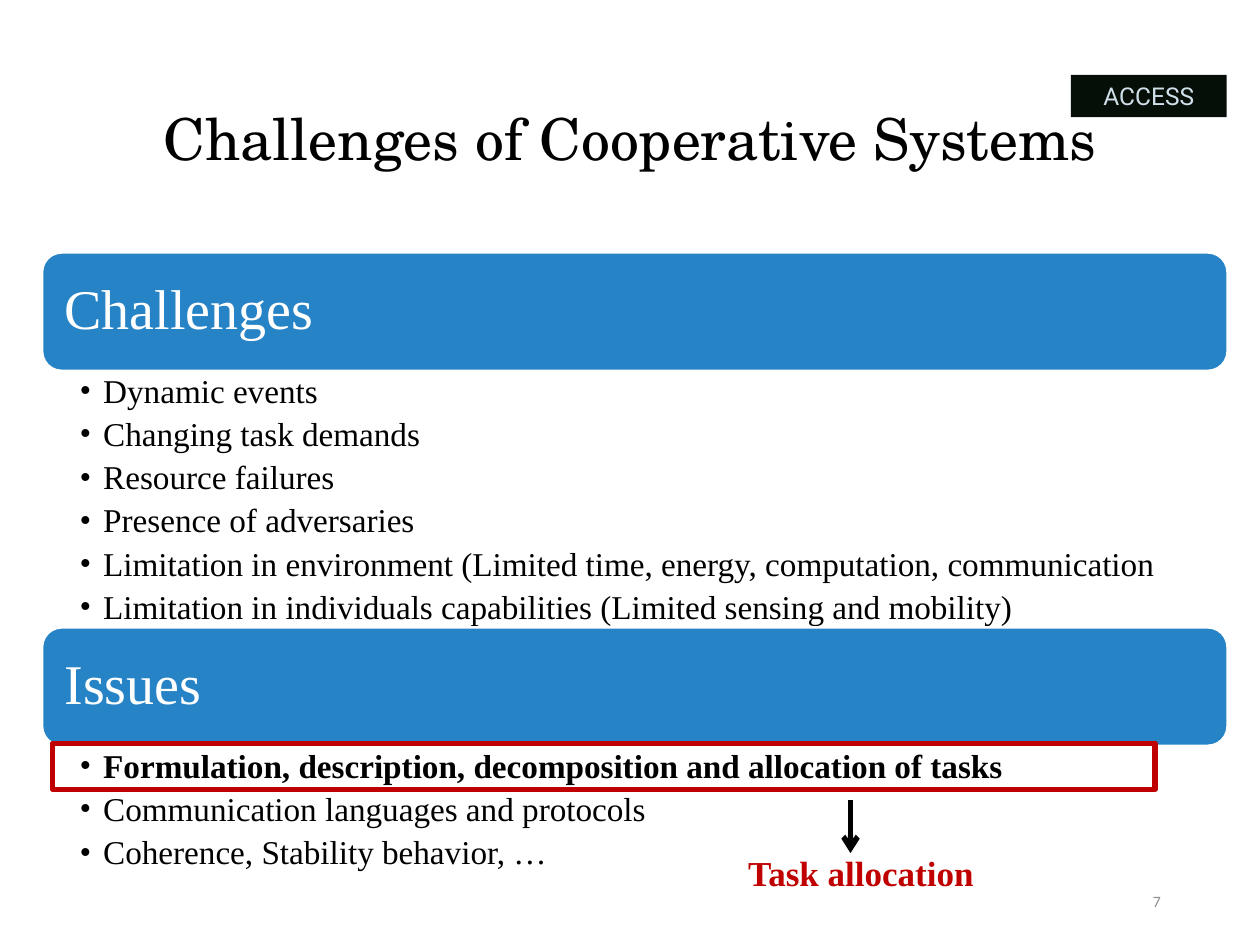
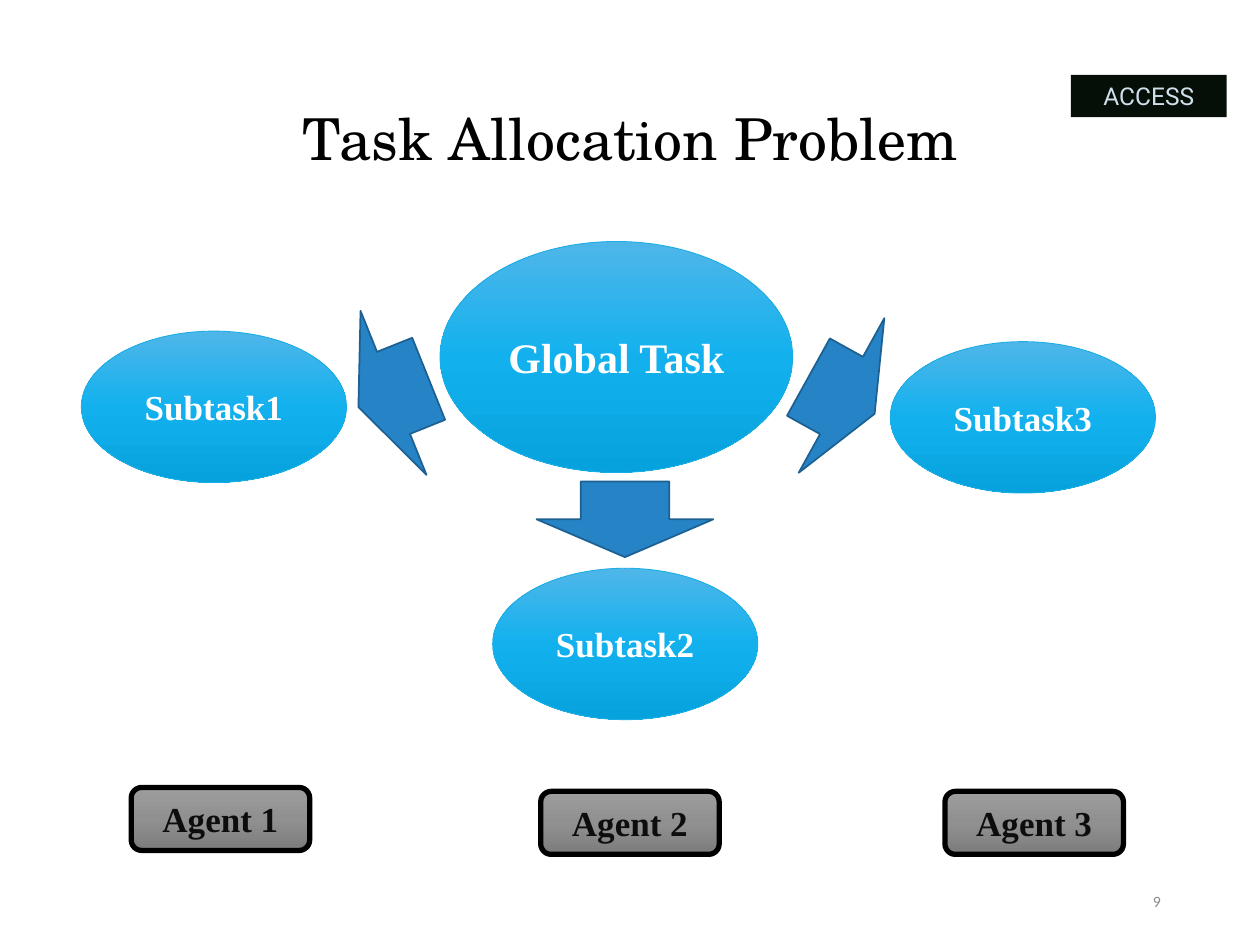
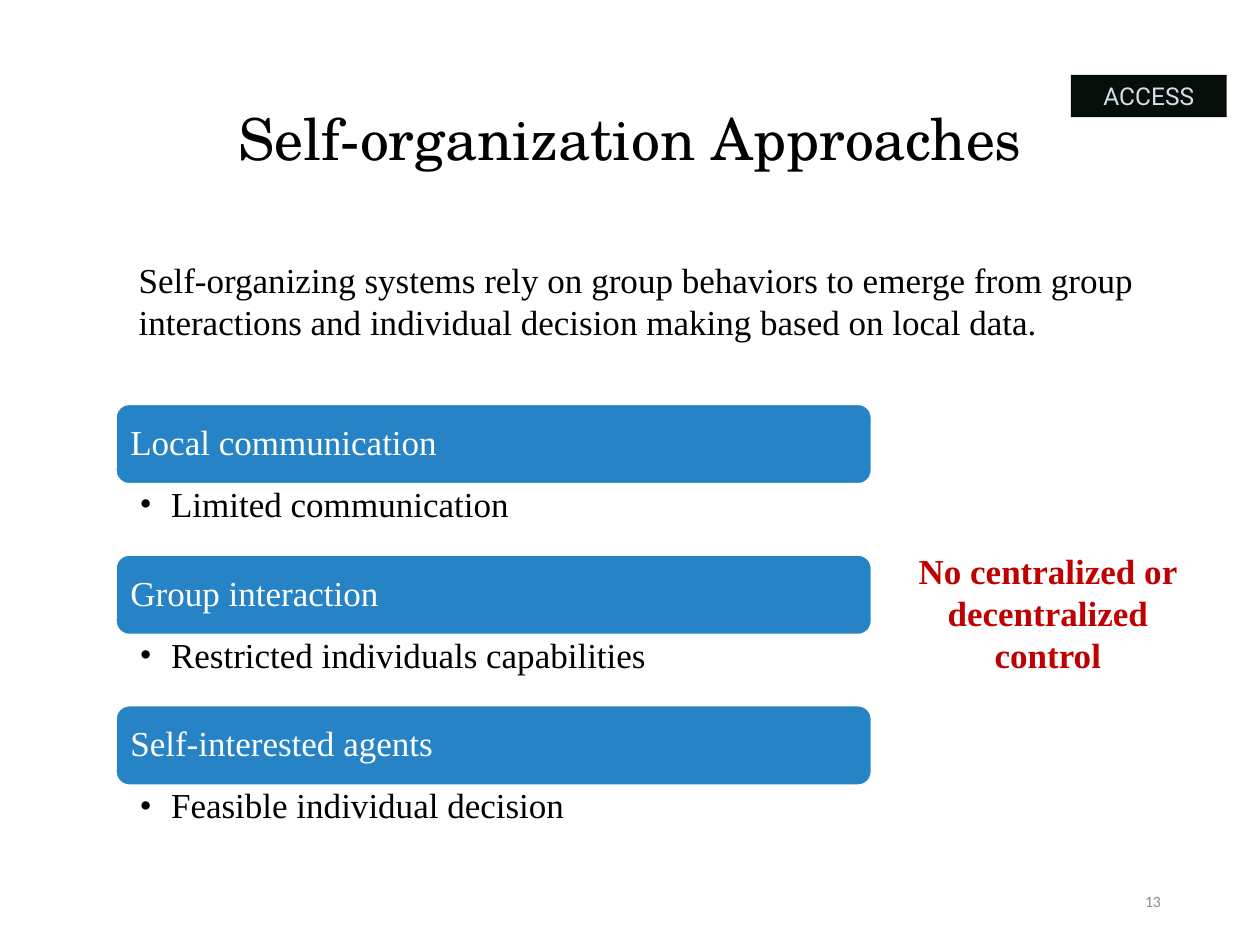
from copy import deepcopy

from lxml import etree
from pptx import Presentation
from pptx.dml.color import RGBColor
from pptx.enum.shapes import MSO_CONNECTOR, MSO_SHAPE
from pptx.enum.text import MSO_ANCHOR, MSO_AUTO_SIZE, PP_ALIGN
from pptx.oxml.ns import qn
from pptx.util import Pt

BLACK = RGBColor(0, 0, 0)
WHITE = RGBColor(255, 255, 255)
RED = RGBColor(0xC0, 0, 0)
BLUE = RGBColor(0x26, 0x83, 0xC6)
DARK_BLUE = RGBColor(0x1C, 0x61, 0x92)
SKY = RGBColor(0x1C, 0xAD, 0xE4)
TAG_FILL = RGBColor(0x06, 0x0E, 0x08)
TAG_TEXT = RGBColor(0xCF, 0xE0, 0xEA)
NUMBER_GRAY = RGBColor(0x8C, 0x8C, 0x8C)
AGENT_TEXT = RGBColor(0x0D, 0x0D, 0x0D)
SKY_GRADIENT = (RGBColor(0x4F, 0xB6, 0xE9), RGBColor(0x12, 0xB1, 0xEE), RGBColor(0x06, 0xA2, 0xDD))
GRAY_GRADIENT = (RGBColor(0x9D, 0x9D, 0x9D), RGBColor(0x90, 0x90, 0x90), RGBColor(0x7C, 0x7C, 0x7C))

TITLE_FONT = "TeX Gyre Schola"
BODY_FONT = "Times New Roman"
NUMBER_FONT = "Calibri"
TAG_FONT = "Roboto"

RECTANGLE = MSO_SHAPE.RECTANGLE
ROUNDED = MSO_SHAPE.ROUNDED_RECTANGLE
ELLIPSE = MSO_SHAPE.OVAL
RIGHT_ARROW = MSO_SHAPE.RIGHT_ARROW
STRAIGHT = MSO_CONNECTOR.STRAIGHT
LEFT, CENTER, RIGHT = PP_ALIGN.LEFT, PP_ALIGN.CENTER, PP_ALIGN.RIGHT
TOP, MIDDLE = MSO_ANCHOR.TOP, MSO_ANCHOR.MIDDLE
NO_AUTOFIT = MSO_AUTO_SIZE.NONE

TITLE_ONLY = 5
DEFAULT_INSETS = (7.2, 3.6, 7.2, 3.6)


def add_bullet(para, indent):
    properties = para._p.get_or_add_pPr()
    properties.set("marL", str(Pt(indent)))
    properties.set("indent", str(-Pt(indent)))
    etree.SubElement(properties, qn("a:buFont")).set("typeface", BODY_FONT)
    etree.SubElement(properties, qn("a:buChar")).set("char", "•")


def write_text(box, *lines, size=20, font=BODY_FONT, color=BLACK, bold=False, align=CENTER,
               anchor=MIDDLE, insets=DEFAULT_INSETS, spacing=1.0, after=0, bullet=None, bold_lines=()):
    frame = box.text_frame
    frame.word_wrap = True
    frame.auto_size = NO_AUTOFIT
    frame.vertical_anchor = anchor
    frame.margin_left, frame.margin_top, frame.margin_right, frame.margin_bottom = map(Pt, insets)
    for index, line in enumerate(lines):
        para = frame.add_paragraph() if index else frame.paragraphs[0]
        para.alignment = align
        para.line_spacing = spacing
        para.space_before = Pt(0)
        para.space_after = Pt(after)
        if bullet:
            add_bullet(para, bullet)
        span = para.add_run()
        span.text = line
        span.font.size = Pt(size)
        span.font.name = font
        span.font.color.rgb = color
        span.font.bold = bold or line in bold_lines


def add_label(page, left, top, width, height, *lines, **text_format):
    box = page.shapes.add_textbox(Pt(left), Pt(top), Pt(width), Pt(height))
    write_text(box, *lines, **text_format)


def fill_gradient(shape, colors):
    shape.fill.gradient()
    shape.fill.gradient_angle = 270
    stops = shape._element.spPr.find(qn("a:gradFill")).find(qn("a:gsLst"))
    stops.append(deepcopy(stops[-1]))
    for index, (stop, color) in enumerate(zip(shape.fill.gradient_stops, colors)):
        stop.position = index / (len(colors) - 1)
        stop.color.rgb = color


def add_figure(page, kind, left, top, width, height, fill=None, gradient=None,
               line=None, line_width=1, rotation=0):
    shape = page.shapes.add_shape(kind, Pt(left), Pt(top), Pt(width), Pt(height))
    shape.shadow.inherit = False
    shape.rotation = rotation
    if gradient:
        fill_gradient(shape, gradient)
    elif fill is not None:
        shape.fill.solid()
        shape.fill.fore_color.rgb = fill
    else:
        shape.fill.background()
    if line is not None:
        shape.line.color.rgb = line
        shape.line.width = Pt(line_width)
    else:
        shape.line.fill.background()
    return shape


def add_arrow_line(page, start, end, width):
    arrow = page.shapes.add_connector(STRAIGHT, *map(Pt, start + end))
    arrow.line.color.rgb = BLACK
    arrow.line.width = Pt(width)
    etree.SubElement(arrow.line._get_or_add_ln(), qn("a:tailEnd")).set("type", "arrow")
    etree.SubElement(arrow._element.spPr, qn("a:effectLst"))


def add_page(deck, title, number):
    page = deck.slides.add_slide(deck.slide_layouts[TITLE_ONLY])
    heading = page.shapes.title
    heading.left, heading.top, heading.width, heading.height = Pt(49.5), Pt(28.75), Pt(621), Pt(104.4)
    write_text(heading, title, size=33, font=TITLE_FONT, spacing=0.9)
    add_label(page, 508.5, 500.5, 162, 28.75, str(number), size=9, font=NUMBER_FONT,
              color=NUMBER_GRAY, align=RIGHT)
    tag = add_figure(page, RECTANGLE, 612, 42.75, 89, 24.25, fill=TAG_FILL)
    write_text(tag, "ACCESS", size=14, font=TAG_FONT, color=TAG_TEXT)
    return page


def add_section(page, left, top, width, band_height, list_height, heading, items, heading_size,
                heading_inset, item_size, item_insets, bullet, line_width, bold_lines=()):
    band = add_figure(page, ROUNDED, left, top, width, band_height, fill=BLUE,
                      line=WHITE, line_width=line_width)
    write_text(band, heading, size=heading_size, color=WHITE, align=LEFT,
               insets=(heading_inset,) * 4, spacing=0.9)
    add_label(page, left, top + band_height, width, list_height, *items, size=item_size,
              align=LEFT, anchor=TOP, insets=item_insets, spacing=0.9, after=4.2,
              bullet=bullet, bold_lines=bold_lines)


def add_task(page, left, top, name, width=151.5, height=86.5, size=20):
    task = add_figure(page, ELLIPSE, left, top, width, height, gradient=SKY_GRADIENT,
                      line=SKY, line_width=0.5)
    write_text(task, name, size=size, color=WHITE, bold=True)


def add_agent(page, left, top, name):
    agent = add_figure(page, ROUNDED, left, top, 102, 36, gradient=GRAY_GRADIENT,
                       line=BLACK, line_width=3)
    write_text(agent, name, color=AGENT_TEXT, bold=True)


def build_challenges(deck):
    page = add_page(deck, "Challenges of Cooperative Systems", 7)
    key_issue = "Formulation, description, decomposition and allocation of tasks"
    sections = (
        ("Challenges", 146.5, (
            "Dynamic events",
            "Changing task demands",
            "Resource failures",
            "Presence of adversaries",
            "Limitation in environment (Limited time, energy, computation, communication",
            "Limitation in individuals capabilities (Limited sensing and mobility)")),
        ("Issues", 73.5, (
            key_issue,
            "Communication languages and protocols",
            "Coherence, Stability behavior, …")),
    )
    top, band_height = 144.25, 67.75
    for heading, list_height, items in sections:
        add_section(page, 24, top, 677.5, band_height, list_height, heading, items,
                    heading_size=32, heading_inset=9.5, item_size=19,
                    item_insets=(21.5, 2, 10.75, 2), bullet=13.5, line_width=1.5,
                    bold_lines=(key_issue,))
        top += band_height + list_height
    add_arrow_line(page, (486, 457), (486, 487.5), 3)
    add_label(page, 372, 483.25, 240, 31.5, "Task allocation", color=RED, bold=True, anchor=TOP)
    add_figure(page, RECTANGLE, 30, 424.75, 630, 26.25, line=RED, line_width=3)


def build_allocation(deck):
    page = add_page(deck, "Task Allocation Problem", 9)
    for number, (left, top) in enumerate(((75, 450), (309, 452.25), (540, 452.25)), 1):
        add_agent(page, left, top, f"Agent {number}")
    add_task(page, 251.5, 138, "Global Task", width=201.5, height=132, size=24)
    for left, top, rotation in ((459.25, 175.5, 29), (203.25, 174, 158.1), (335.5, 246.25, 90)):
        add_figure(page, RIGHT_ARROW, left, top, 43.25, 101, fill=BLUE, line=DARK_BLUE,
                   rotation=rotation)
    for number, (left, top) in enumerate(((46.5, 189.25), (281.5, 324.75), (508.75, 195.25)), 1):
        add_task(page, left, top, f"Subtask{number}")


def build_approaches(deck):
    page = add_page(deck, "Self-organization Approaches", 13)
    sections = (
        ("Local communication", "Limited communication"),
        ("Group interaction", "Restricted individuals capabilities"),
        ("Self-interested agents", "Feasible individual decision"),
    )
    band_height, list_height = 45.5, 40.6
    for index, (heading, item) in enumerate(sections):
        top = 231 + index * (band_height + list_height)
        add_section(page, 66.25, top, 431.75, band_height, list_height, heading, (item,),
                    heading_size=20, heading_inset=6, item_size=20,
                    item_insets=(13.5, 2, 11.5, 2), bullet=18, line_width=1)
    add_label(page, 504, 310.5, 189.5, 80, "No centralized or decentralized control",
              color=RED, bold=True, anchor=TOP)
    add_label(page, 36, 144.25, 648, 308,
              "Self-organizing systems rely on group behaviors to emerge from group "
              "interactions and individual decision making based on local data.",
              align=LEFT, anchor=TOP, insets=(43.2, 3.6, 7.2, 3.6))


def main():
    deck = Presentation()
    deck.slide_width, deck.slide_height = Pt(720), Pt(540)
    build_challenges(deck)
    build_allocation(deck)
    build_approaches(deck)
    deck.save("out.pptx")


if __name__ == "__main__":
    main()
